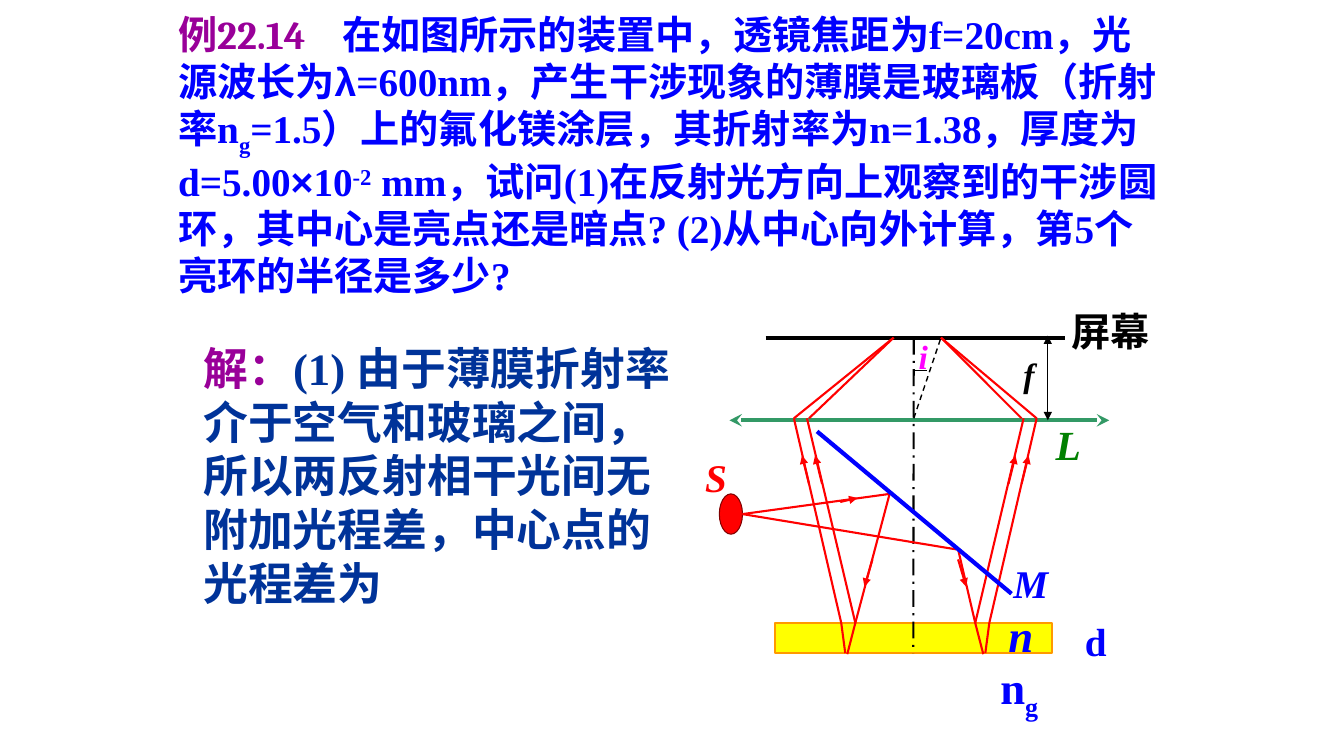
"""Builds the slide on thin-film interference rings with its optical diagram."""
from dataclasses import dataclass

from lxml import etree
from pptx import Presentation
from pptx.dml.color import RGBColor
from pptx.enum.dml import MSO_LINE
from pptx.enum.shapes import MSO_CONNECTOR, MSO_SHAPE
from pptx.enum.text import MSO_AUTO_SIZE
from pptx.oxml.ns import qn
from pptx.shapes.autoshape import Shape
from pptx.shapes.connector import Connector
from pptx.shapes.shapetree import GroupShapes, SlideShapes
from pptx.util import Inches, Pt

STRAIGHT = MSO_CONNECTOR.STRAIGHT
RECTANGLE, OVAL = MSO_SHAPE.RECTANGLE, MSO_SHAPE.OVAL
DASH, LONG_DASH_DOT = MSO_LINE.DASH, MSO_LINE.LONG_DASH_DOT
FIT_SHAPE, NO_FIT = MSO_AUTO_SIZE.SHAPE_TO_FIT_TEXT, MSO_AUTO_SIZE.NONE
BOTTOM_SIDE = 2


@dataclass(frozen=True)
class Theme:
    """Colours, fonts and type sizes of the slide."""
    black: str = "000000"
    red: str = "FF0000"
    dark_red: str = "800000"
    blue: str = "0000FF"
    navy: str = "003399"
    purple: str = "990099"
    magenta: str = "FF00FF"
    green: str = "008000"
    lens_green: str = "339966"
    yellow: str = "FFFF00"
    orange: str = "FF9900"
    latin: str = "Times New Roman"
    heading: str = "Cambria"
    symbol: str = "Arial"
    chinese: str = "Noto Sans CJK SC"
    small: float = 24
    body: float = 28
    lens: float = 29.6
    large: float = 32


THEME = Theme()


@dataclass(frozen=True)
class Line:
    """A straight line of the diagram."""
    start: tuple[float, float]
    end: tuple[float, float]
    color: str = THEME.red
    width: float = 1.5
    dash: MSO_LINE | None = None
    head: str = ""
    tail: str = ""


@dataclass(frozen=True)
class Piece:
    """A run of text in one font."""
    text: str
    font: str = THEME.latin
    color: str = THEME.blue
    baseline: int = 0


@dataclass(frozen=True)
class Label:
    """A text box made of pieces."""
    box: tuple[float, float, float, float]
    pieces: tuple[Piece, ...]
    size: float = THEME.body
    italic: bool = False
    grows: bool = False
    tab: float = 0


@dataclass(frozen=True)
class Block:
    """A filled shape of the diagram."""
    kind: MSO_SHAPE
    box: tuple[float, float, float, float]
    fill: str
    outline: str
    width: float


FILM = Block(RECTANGLE, (7.69, 6.18, 2.75, 0.3), THEME.yellow, THEME.orange, 1.5)
SOURCE = Block(OVAL, (7.14, 4.9, 0.23, 0.4), THEME.red, THEME.dark_red, 0.75)
AXIS = Line((9.07, 3.35), (9.07, 6.48), THEME.black, dash=LONG_DASH_DOT)

MIRROR_SUM = 18.17
LEFT_RAYS = (
    Line((8.49, 6.18), (8.41, 6.49)),
    Line((8.49, 6.18), (8.01, 4.15)),
    Line((8.39, 6.48), (8.35, 6.18)),
    Line((8.35, 6.18), (7.88, 4.15)),
    Line((8.66, 5.55), (8.58, 5.82), tail="triangle"),
    Line((8.03, 4.8), (7.96, 4.52), tail="triangle"),
    Line((8.16, 4.8), (8.09, 4.52), tail="triangle"),
)
FOCUSED_RAYS = tuple(
    Line((lens_x, 4.15), (focus_x, 3.35))
    for focus_x, lens_points in ((8.87, (8.03, 7.88)), (9.34, (10.14, 10.29)))
    for lens_x in lens_points
)
SOURCE_RAYS = (
    Line((7.37, 5.1), (8.83, 4.9)),
    Line((8.83, 4.9), (8.49, 6.18)),
    Line((8.34, 4.98), (8.51, 4.94), tail="triangle"),
    Line((7.37, 5.1), (9.49, 5.45)),
    Line((9.51, 5.45), (9.68, 6.18)),
)
SCREEN_AND_LENS = (
    Line((7.6, 3.35), (10.57, 3.35), THEME.black, 3),
    Line((7.24, 4.17), (11.01, 4.17), THEME.lens_green, 3, head="stealth", tail="stealth"),
)
MARKS = (
    Line((9.07, 4.15), (9.34, 3.35), THEME.black, 1, dash=DASH),
    Line((9.07, 3.68), (9.2, 3.68), THEME.black, 0.75),
    Line((8.11, 4.28), (10.04, 5.89), THEME.blue, 3),
    Line((10.4, 3.33), (10.4, 4.17), THEME.black, 0.75, head="triangle", tail="triangle"),
)
DIAGRAM_LABELS = (
    Label((9.02, 3.28, 0.59, 0.59), (Piece("i", color=THEME.magenta),), THEME.small, True),
    Label((9.91, 5.98, 0.59, 0.65), (Piece("n"),), THEME.large, True),
    Label((9.96, 5.5, 0.76, 0.68), (Piece("M"),), italic=True),
    Label((10.38, 4.11, 0.62, 0.62), (Piece("L", color=THEME.green),), THEME.lens, True),
    Label((6.9, 4.45, 0.66, 0.68), (Piece("S", color=THEME.red),), italic=True),
    Label((10.06, 3.46, 0.85, 0.82), (Piece("f", color=THEME.black),), THEME.small, True),
    Label((10.54, 3, 1.13, 0.7), (Piece("屏幕", color=THEME.black),)),
)
PROBLEM = Label((1.67, 0.05, 10, 2.97), (
    Piece("例22.14\t", THEME.heading, THEME.purple),
    Piece("在如图所示的装置中，透镜焦距为", THEME.chinese),
    Piece("f=20cm"),
    Piece("，光源波长为", THEME.chinese),
    Piece("λ", THEME.symbol),
    Piece("=600nm"),
    Piece("，产生干涉现象的薄膜是玻璃板（折射率", THEME.chinese),
    Piece("n"),
    Piece("g", baseline=-25),
    Piece("=1.5"),
    Piece("）上的氟化镁涂层，其折射率为", THEME.chinese),
    Piece("n=1.38"),
    Piece("，厚度为", THEME.chinese),
    Piece("d=5.00"),
    Piece("×", THEME.symbol),
    Piece("10"),
    Piece("-2", baseline=30),
    Piece(" mm"),
    Piece("，试问", THEME.chinese),
    Piece("(1)"),
    Piece("在反射光方向上观察到的干涉圆环，其中心是亮点还是暗点", THEME.chinese),
    Piece("? (2)"),
    Piece("从中心向外计算，第", THEME.chinese),
    Piece("5"),
    Piece("个亮环的半径是多少", THEME.chinese),
    Piece("?"),
), grows=True, tab=1.63)
SOLUTION = Label((1.92, 3.33, 4.91, 2.77), (
    Piece("解：", color=THEME.purple),
    Piece("(1) ", color=THEME.navy),
    Piece("由于薄膜折射率介于空气和玻璃之间，所以两反射相干光间无附加光程差，中心点的光程差为",
          THEME.chinese, THEME.navy),
), THEME.large, grows=True)
GLASS_INDEX = Label((9.83, 6.5, 0.75, 0.71), (Piece("n"), Piece("g", baseline=-25)),
                    THEME.large, grows=True)
THICKNESS = Label((10.67, 6.08, 0.41, 0.57), (Piece("d"),), grows=True)


def mirrored(line: Line) -> Line:
    """Reflect a ray across the optical axis."""
    (start_x, start_y), (end_x, end_y) = line.start, line.end
    return Line((MIRROR_SUM - start_x, start_y), (MIRROR_SUM - end_x, end_y), tail=line.tail)


def draw_line(shapes: GroupShapes, line: Line) -> Connector:
    """Draw a line with its dash and arrowheads."""
    connector = shapes.add_connector(STRAIGHT, *map(Inches, line.start + line.end))
    connector.line.color.rgb = RGBColor.from_string(line.color)
    connector.line.width = Pt(line.width)
    if line.dash:
        connector.line.dash_style = line.dash
    properties = connector._element.spPr
    outline = properties.find(qn("a:ln"))
    for tag, arrow in (("a:headEnd", line.head), ("a:tailEnd", line.tail)):
        if arrow:
            etree.SubElement(outline, qn(tag), type=arrow)
    etree.SubElement(properties, qn("a:effectLst"))
    return connector


def draw_block(shapes: GroupShapes, block: Block) -> Shape:
    """Draw a filled shape."""
    shape = shapes.add_shape(block.kind, *map(Inches, block.box))
    shape.shadow.inherit = False
    shape.fill.solid()
    shape.fill.fore_color.rgb = RGBColor.from_string(block.fill)
    shape.line.color.rgb = RGBColor.from_string(block.outline)
    shape.line.width = Pt(block.width)
    return shape


def draw_label(shapes: GroupShapes | SlideShapes, label: Label) -> None:
    """Draw a text box with formatted runs."""
    text_frame = shapes.add_textbox(*map(Inches, label.box)).text_frame
    text_frame.word_wrap = True
    text_frame.auto_size = FIT_SHAPE if label.grows else NO_FIT
    paragraph = text_frame.paragraphs[0]
    if label.tab:
        tabs = etree.SubElement(paragraph._p.get_or_add_pPr(), qn("a:tabLst"))
        etree.SubElement(tabs, qn("a:tab"), pos=str(Inches(label.tab)), algn="l")
    for piece in label.pieces:
        run = paragraph.add_run()
        run.text = piece.text
        run.font.size = Pt(label.size)
        run.font.bold = True
        run.font.italic = label.italic
        run.font.color.rgb = RGBColor.from_string(piece.color)
        run.font.name = piece.font
        properties = run._r.get_or_add_rPr()
        etree.SubElement(properties, qn("a:ea"), typeface=THEME.chinese)
        if piece.baseline:
            properties.set("baseline", str(piece.baseline * 1000))


def main() -> None:
    """Build and save the presentation."""
    presentation = Presentation()
    presentation.slide_width, presentation.slide_height = Inches(13.34), Inches(7.5)
    slide = presentation.slides.add_slide(presentation.slide_layouts[6])
    draw_label(slide.shapes, PROBLEM)
    diagram = slide.shapes.add_group_shape().shapes
    for line in SCREEN_AND_LENS:
        draw_line(diagram, line)
    film = draw_block(diagram, FILM)
    draw_line(diagram, AXIS).end_connect(film, BOTTOM_SIDE)
    draw_block(diagram, SOURCE)
    right_rays = tuple(map(mirrored, LEFT_RAYS))
    for line in SOURCE_RAYS + LEFT_RAYS + right_rays + FOCUSED_RAYS + MARKS:
        draw_line(diagram, line)
    for label in DIAGRAM_LABELS:
        draw_label(diagram, label)
    for label in (GLASS_INDEX, THICKNESS, SOLUTION):
        draw_label(slide.shapes, label)
    presentation.save("out.pptx")


if __name__ == "__main__":
    main()
